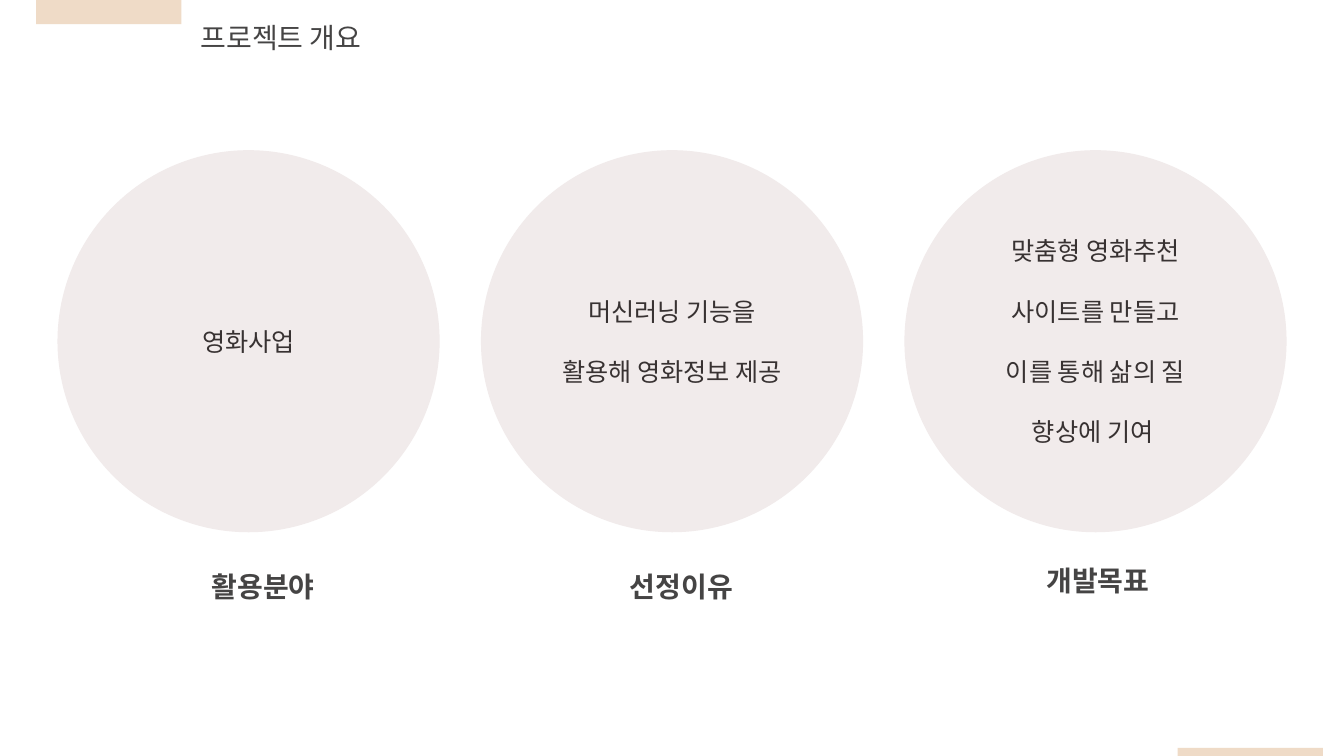
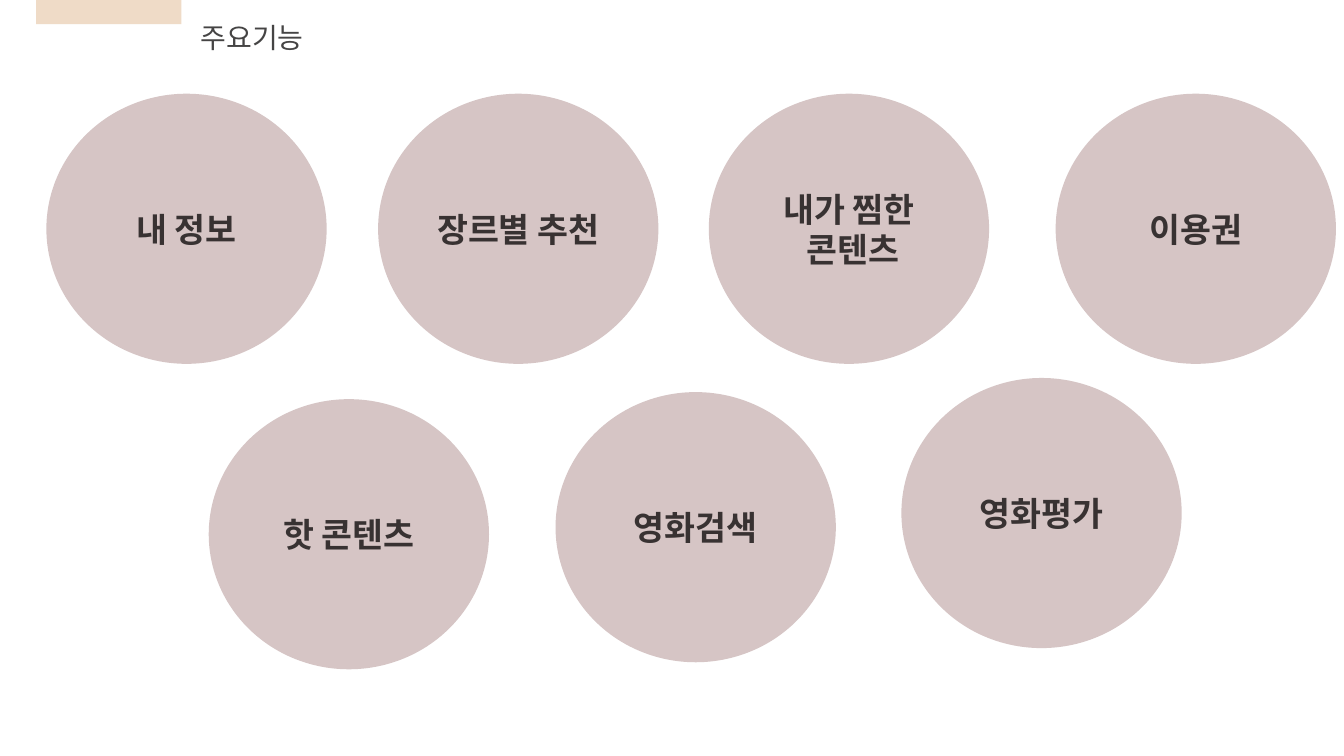
from typing import NamedTuple

from pptx import Presentation
from pptx.dml.color import RGBColor
from pptx.enum.shapes import MSO_SHAPE as Preset
from pptx.enum.text import MSO_ANCHOR as Anchor, MSO_AUTO_SIZE as AutoSize, PP_ALIGN as Align
from pptx.util import Inches, Pt

# Shared look
BAND = RGBColor(0xEF, 0xDB, 0xC7)
PALE_ROSE = RGBColor(0xF1, 0xEB, 0xEB)
ROSE = RGBColor(0xD6, 0xC5, 0xC5)
HEADING_INK = RGBColor(0x45, 0x44, 0x44)
BODY_INK = RGBColor(0x38, 0x32, 0x32)
BAND_WIDTH = 1.44


class TextStyle(NamedTuple):
    font: str
    size: int
    color: RGBColor
    bold: bool = False
    align: Align = Align.CENTER
    gap: float = 0


TITLE = TextStyle("Arial", 20, HEADING_INK, align=Align.LEFT)
CAPTION = TextStyle("Arial", 20, HEADING_INK, bold=True)
OVERVIEW = TextStyle("Arial", 18, BODY_INK, gap=21.5)
FEATURE = TextStyle("Noto Sans CJK KR", 24, BODY_INK, bold=True)


class Topic(NamedTuple):
    text: str
    caption: str
    caption_left: float
    caption_top: float


class Feature(NamedTuple):
    text: str
    left: float
    top: float


TOPICS = [
    Topic("영화사업", "활용분야", 0.74, 5.6),
    Topic("머신러닝 기능을\n활용해 영화정보 제공", "선정이유", 4.89, 5.6),
    Topic("맞춤형 영화추천\n사이트를 만들고\n이를 통해 삶의 질\n향상에 기여 ", "개발목표", 9.02, 5.54),
]
FEATURES = [
    Feature("내 정보", 0.46, 0.93),
    Feature("장르별 추천", 3.75, 0.93),
    Feature("내가 찜한\n 콘텐츠", 7.03, 0.93),
    Feature("이용권", 10.47, 0.93),
    Feature("핫 콘텐츠", 2.07, 3.96),
    Feature("영화검색", 5.51, 3.89),
    Feature("영화평가", 8.94, 3.75),
]


def write(frame, text: str, style: TextStyle) -> None:
    frame.word_wrap = True
    frame.text = text
    for index, paragraph in enumerate(frame.paragraphs):
        paragraph.alignment = style.align
        if index and style.gap:
            paragraph.space_before = Pt(style.gap)
        for run in paragraph.runs:
            run.font.name = style.font
            run.font.size = Pt(style.size)
            run.font.bold = style.bold
            run.font.color.rgb = style.color


def add_filled(slide, preset: Preset, left: float, top: float,
               width: float, height: float, color: RGBColor):
    shape = slide.shapes.add_shape(
        preset, Inches(left), Inches(top), Inches(width), Inches(height))
    shape.shadow.inherit = False
    shape.fill.solid()
    shape.fill.fore_color.rgb = color
    shape.line.fill.background()
    return shape


def add_circle(slide, text: str, left: float, top: float, width: float,
               height: float, color: RGBColor, style: TextStyle) -> None:
    circle = add_filled(slide, Preset.OVAL, left, top, width, height, color)
    circle.text_frame.vertical_anchor = Anchor.MIDDLE
    write(circle.text_frame, text, style)


def add_label(slide, text: str, left: float, top: float, width: float,
              style: TextStyle, anchor: Anchor = Anchor.TOP) -> None:
    label = slide.shapes.add_textbox(
        Inches(left), Inches(top), Inches(width), Inches(0.44))
    write(label.text_frame, text, style)
    label.text_frame.vertical_anchor = anchor
    label.text_frame.auto_size = AutoSize.SHAPE_TO_FIT_TEXT


def add_titled_slide(deck, title: str):
    slide = deck.slides.add_slide(deck.slide_layouts[6])
    add_filled(slide, Preset.RECTANGLE, 0.36, 0, BAND_WIDTH, 0.24, BAND)
    add_label(slide, title, 1.89, 0.15, 3.61, TITLE)
    return slide


def build_overview(deck) -> None:
    slide = add_titled_slide(deck, "프로젝트 개요")
    add_filled(slide, Preset.RECTANGLE, 11.68, 7.42, BAND_WIDTH, 0.08, BAND)
    diameter, pitch = 3.79, 4.2
    for column, topic in enumerate(TOPICS):
        add_circle(slide, topic.text, 0.57 + column * pitch, 1.49,
                   diameter, diameter, PALE_ROSE, OVERVIEW)
        add_label(slide, topic.caption, topic.caption_left, topic.caption_top,
                  3.74, CAPTION, Anchor.MIDDLE)


def build_features(deck) -> None:
    slide = add_titled_slide(deck, "주요기능")
    for feature in FEATURES:
        add_circle(slide, feature.text, feature.left, feature.top,
                   2.78, 2.68, ROSE, FEATURE)


def main() -> None:
    deck = Presentation()
    deck.slide_width, deck.slide_height = Inches(13.33), Inches(7.5)
    build_overview(deck)
    build_features(deck)
    deck.save("out.pptx")


if __name__ == "__main__":
    main()
